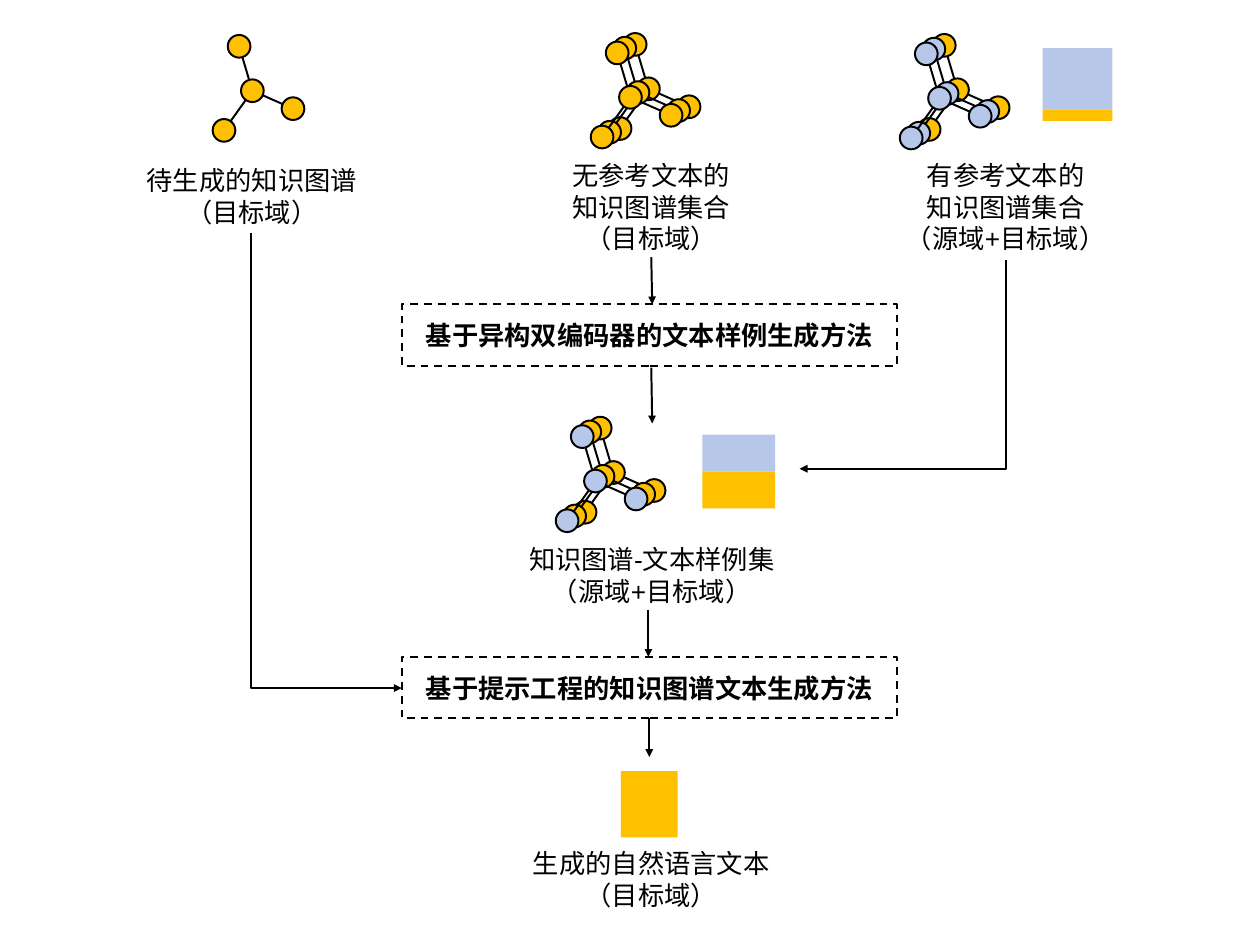
from lxml import etree
from pptx import Presentation
from pptx.dml.color import RGBColor
from pptx.enum.dml import MSO_LINE
from pptx.enum.shapes import MSO_CONNECTOR, MSO_SHAPE
from pptx.enum.text import MSO_ANCHOR, PP_ALIGN
from pptx.oxml.ns import qn
from pptx.util import Inches, Pt

RECT, OVAL = MSO_SHAPE.RECTANGLE, MSO_SHAPE.OVAL
STRAIGHT, ELBOW = MSO_CONNECTOR.STRAIGHT, MSO_CONNECTOR.ELBOW
CENTER, MIDDLE, TOP = PP_ALIGN.CENTER, MSO_ANCHOR.MIDDLE, MSO_ANCHOR.TOP
DASH = MSO_LINE.DASH
GOLD, BLUE, BLACK = "FFC000", "B6C7EA", "000000"
DOT = 0.24
HUB = (0.3, 0.47)
TIPS = [(0.16, 0), (0, 0.89), (0.73, 0.66)]
SHIFTS = [(0, 0), (0.11, 0.04), (0.19, 0.09)]


def color(code):
    return RGBColor.from_string(code)


def write(frame, text, size=20, bold=False, anchor=TOP):
    frame.word_wrap = True
    frame.vertical_anchor = anchor
    for i, line in enumerate(text.split("\n")):
        para = frame.paragraphs[0] if i == 0 else frame.add_paragraph()
        para.alignment = CENTER
        run = para.add_run()
        run.text = line
        run.font.name = "Arial"
        run.font.size = Pt(size)
        run.font.bold = bold
        run.font.color.rgb = color(BLACK)


def label(shapes, box, text):
    write(shapes.add_textbox(*map(Inches, box)).text_frame, text)


def solid(shapes, kind, box, fill=None, line=None):
    shape = shapes.add_shape(kind, *map(Inches, box))
    shape.shadow.inherit = False
    if fill:
        shape.fill.solid()
        shape.fill.fore_color.rgb = color(fill)
    else:
        shape.fill.background()
    if line:
        shape.line.color.rgb = color(line)
        shape.line.width = Pt(1.5)
    else:
        shape.line.fill.background()
    return shape


def link(shapes, start, end, kind=STRAIGHT, arrow=False):
    wire = shapes.add_connector(kind, *map(Inches, (*start, *end)))
    wire.line.color.rgb = color(BLACK)
    wire.line.width = Pt(1.5)
    props = wire._element.spPr
    etree.SubElement(props, qn("a:effectLst"))
    if arrow:
        etree.SubElement(props.find(qn("a:ln")), qn("a:tailEnd"), type="triangle")
    return wire


def bend(shapes, start, end):
    (x1, y1), (x2, y2) = start, end
    midx, midy = (x1 + x2) / 2, (y1 + y2) / 2
    half, side = (y2 - y1) / 2, (x2 - x1) / 2
    wire = link(shapes, (midx - half, midy + side), (midx + half, midy - side), ELBOW, True)
    props = wire._element.spPr
    props.find(qn("a:xfrm")).set("rot", "5400000")
    props.find(qn("a:prstGeom")).set("prst", "bentConnector2")


def graph(shapes, left, top, fill):
    group = shapes.add_group_shape().shapes

    def middle(spot):
        return left + spot[0] + DOT / 2, top + spot[1] + DOT / 2

    for tip in TIPS:
        link(group, middle(tip), middle(HUB))
    for x, y in [HUB, *TIPS]:
        solid(group, OVAL, (left + x, top + y, DOT, DOT), fill, BLACK)


def stack(shapes, left, top, fills):
    for (dx, dy), fill in zip(SHIFTS, fills):
        graph(shapes, left - dx, top + dy, fill)


def block(shapes, left, top, width, parts):
    for fill, height in parts:
        solid(shapes, RECT, (left, top, width, height), fill)
        top += height


def method(shapes, box, text):
    frame = solid(shapes, RECT, box, line=BLACK)
    frame.line.dash_style = DASH
    write(frame.text_frame, text, bold=True, anchor=MIDDLE)


def inputs(shapes):
    graph(shapes, 2.25, 0.37, GOLD)
    label(shapes, (1.43, 1.69, 2.47, 0.77), "待生成的知识图谱\n（目标域）")
    stack(shapes, 6.44, 0.35, [GOLD] * 3)
    label(shapes, (5.95, 1.64, 1.88, 1.11), "无参考文本的\n知识图谱集合\n（目标域）")
    stack(shapes, 9.71, 0.36, [GOLD, BLUE, BLUE])
    block(shapes, 11.03, 0.51, 0.74, [(BLUE, 0.65), (GOLD, 0.12)])
    label(shapes, (9.39, 1.64, 2.5, 1.11), "有参考文本的\n知识图谱集合\n（源域+目标域）")


def steps(shapes):
    method(shapes, (4.25, 3.22, 5.24, 0.65), "基于异构双编码器的文本样例生成方法")
    stack(shapes, 6.07, 4.41, [GOLD, GOLD, BLUE])
    block(shapes, 7.43, 4.6, 0.77, [(BLUE, 0.39), (GOLD, 0.39)])
    label(shapes, (5.34, 5.7, 3.11, 0.77), "知识图谱-文本样例集\n（源域+目标域）")
    method(shapes, (4.25, 6.95, 5.24, 0.65), "基于提示工程的知识图谱文本生成方法")


def output(shapes):
    block(shapes, 6.57, 8.16, 0.6, [(GOLD, 0.7)])
    label(shapes, (5.46, 8.92, 2.86, 0.77), "生成的自然语言文本\n（目标域）")


def flow(shapes):
    for start, end in [
        ((6.89, 2.72), (6.9, 3.22)),
        ((6.89, 3.89), (6.9, 4.48)),
        ((6.86, 6.45), (6.86, 6.95)),
        ((6.87, 7.6), (6.87, 8.01)),
    ]:
        link(shapes, start, end, arrow=True)
    bend(shapes, (10.64, 2.75), (8.46, 4.96))
    bend(shapes, (2.66, 2.46), (4.25, 7.28))


def main():
    deck = Presentation()
    deck.slide_width, deck.slide_height = Inches(13.33), Inches(10.02)
    shapes = deck.slides.add_slide(deck.slide_layouts[6]).shapes
    for region in (inputs, steps, output, flow):
        region(shapes)
    deck.save("out.pptx")


if __name__ == "__main__":
    main()
